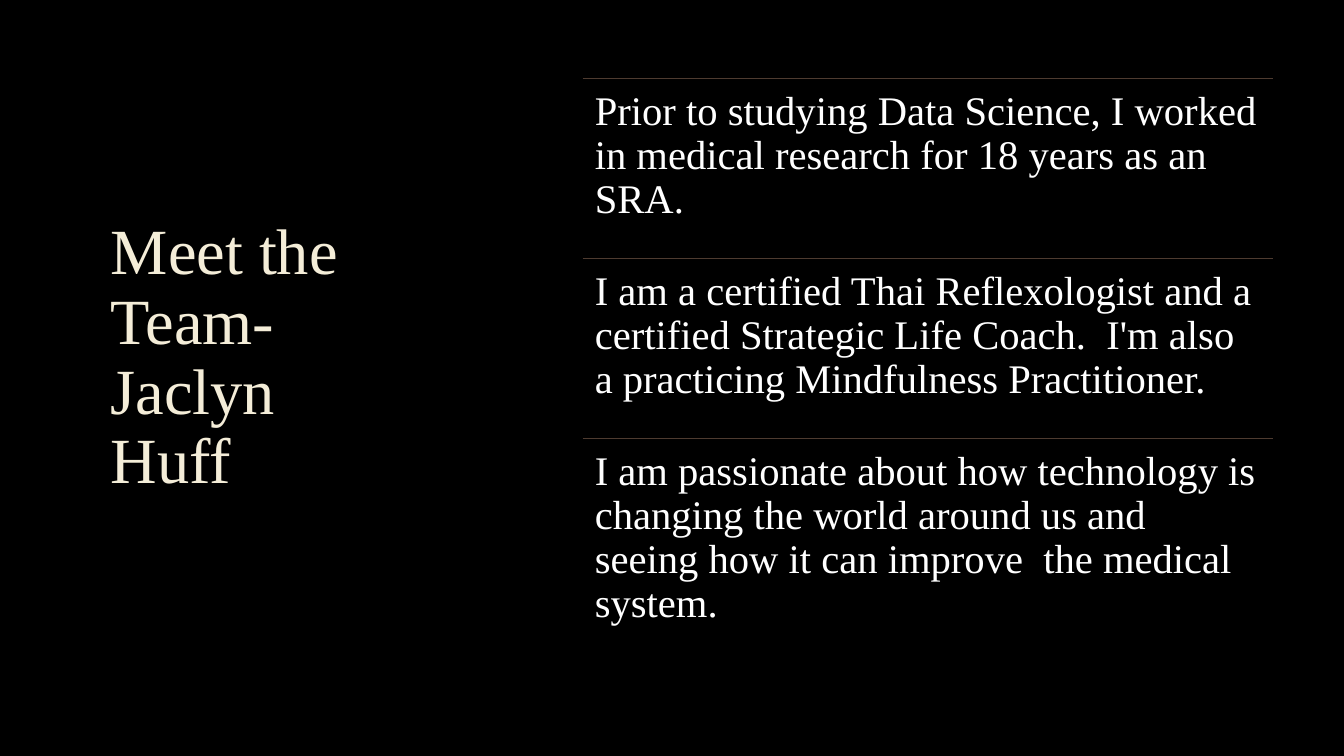
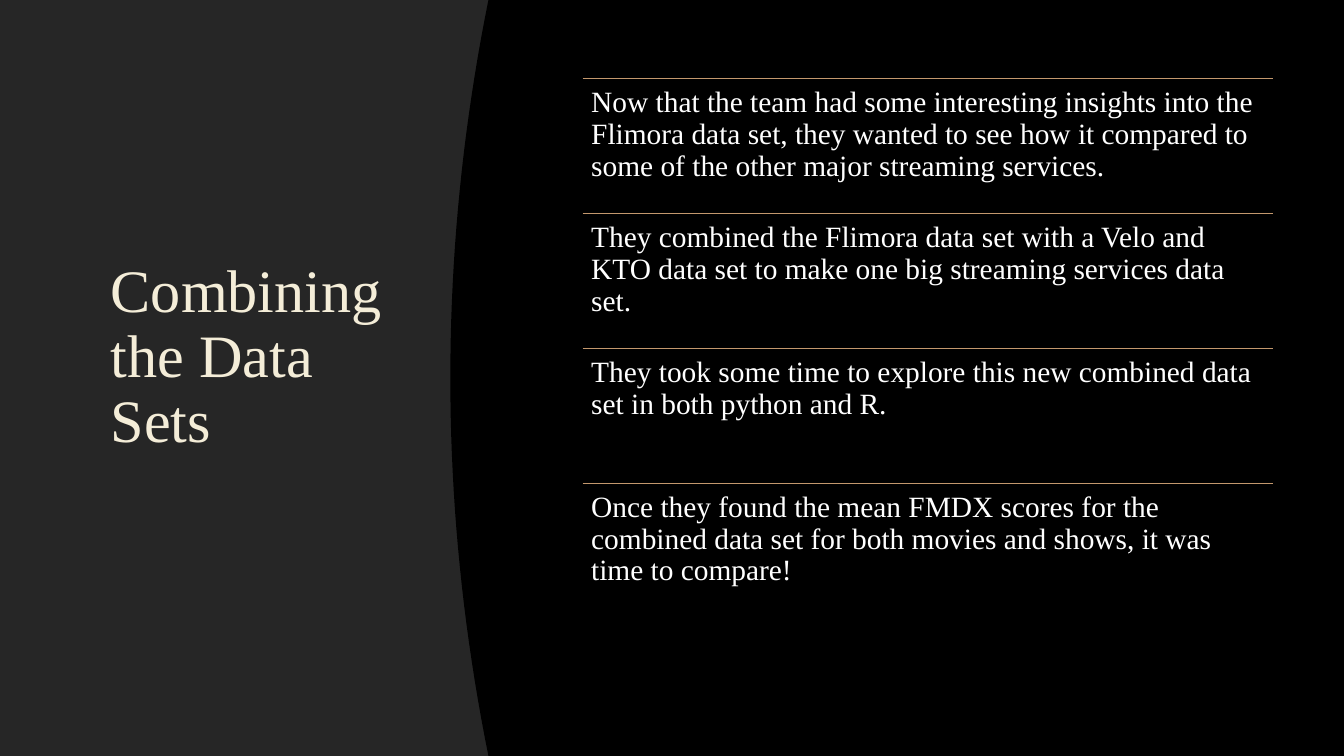
from dataclasses import dataclass

from lxml.etree import SubElement
from pptx import Presentation
from pptx.dml.color import RGBColor
from pptx.enum.shapes import MSO_CONNECTOR, MSO_SHAPE
from pptx.enum.text import MSO_ANCHOR, MSO_AUTO_SIZE, PP_ALIGN
from pptx.oxml.ns import qn
from pptx.util import Cm, Pt


@dataclass(frozen=True)
class Theme:
    font: str = "Times New Roman"
    black: RGBColor = RGBColor(0x00, 0x00, 0x00)
    panel: RGBColor = RGBColor(0x26, 0x26, 0x26)
    title: RGBColor = RGBColor(0xF4, 0xED, 0xD8)
    text: RGBColor = RGBColor(0xFF, 0xFF, 0xFF)
    brown: RGBColor = RGBColor(0x4E, 0x3B, 0x30)
    tan: RGBColor = RGBColor(0xC3, 0x98, 0x6D)
    team_title: int = 46
    team_text: int = 29
    data_title: int = 43
    data_text: int = 21
    rule: float = 0.75
    spacing: float = 0.9


T = Theme()
WIDTH, HEIGHT = 33.87, 19.05
LIST_LEFT, LIST_TOP, LIST_WIDTH, LIST_HEIGHT = 14.68, 1.98, 17.4, 13.6

TEAM_ITEMS = [
    "Prior to studying Data Science, I worked in medical research for 18 years as an SRA.",
    "I am a certified Thai Reflexologist and a certified Strategic Life Coach.  "
    "I'm also a practicing Mindfulness Practitioner.",
    "I am passionate about how technology is changing the world around us and seeing "
    "how it can improve  the medical system.",
]
DATA_ITEMS = [
    "Now that the team had some interesting insights into the Flimora data set, they "
    "wanted to see how it compared to some of the other major streaming services.",
    "They combined the Flimora data set with a Velo and KTO data set to make one big "
    "streaming services data set.",
    "They took some time to explore this new combined data set in both python and R.",
    "Once they found the mean FMDX scores for the combined data set for both movies "
    "and shows, it was time to compare!",
]


def write(tf, text, size, color):
    tf.word_wrap = True
    tf.auto_size = MSO_AUTO_SIZE.NONE
    p = tf.paragraphs[0]
    p.alignment = PP_ALIGN.LEFT
    p.line_spacing = T.spacing
    r = p.add_run()
    r.text = text
    r.font.name = T.font
    r.font.size = Pt(size)
    r.font.color.rgb = color
    return r


def add_title(s, text, size):
    title = s.shapes.title
    title.left, title.top, title.width, title.height = Cm(2.54), Cm(1.7), Cm(7.77), Cm(14.66)
    title.text_frame.vertical_anchor = MSO_ANCHOR.MIDDLE
    return write(title.text_frame, text, size, T.title)


def add_text_shadow(r):
    effects = SubElement(r.font.fill._xPr, qn("a:effectLst"))
    r.font.fill._xPr.find(qn("a:solidFill")).addnext(effects)
    shadow = SubElement(effects, qn("a:outerShdw"), blurRad="38100", dist="38100", dir="2700000")
    color = SubElement(shadow, qn("a:srgbClr"), val=str(T.black))
    SubElement(color, qn("a:alpha"), val="40000")


def add_rule(s, top, color):
    line = s.shapes.add_connector(
        MSO_CONNECTOR.STRAIGHT, Cm(LIST_LEFT), Cm(top), Cm(LIST_LEFT + LIST_WIDTH), Cm(top))
    line.line.color.rgb = color
    line.line.width = Pt(T.rule)
    SubElement(line.element.spPr, qn("a:effectLst"))


def add_ruled_list(s, items, size, inset, rule_color):
    """Share the list height equally, with a rule above each item."""
    row = LIST_HEIGHT / len(items)
    for i, item in enumerate(items):
        top = LIST_TOP + i * row
        add_rule(s, top, rule_color)
        box = s.shapes.add_textbox(Cm(LIST_LEFT), Cm(top), Cm(LIST_WIDTH), Cm(row))
        tf = box.text_frame
        tf.margin_left = tf.margin_right = tf.margin_top = tf.margin_bottom = Cm(inset)
        write(tf, item, size, T.text)


def paint(sp, color):
    sp.shadow.inherit = False
    sp.fill.solid()
    sp.fill.fore_color.rgb = color
    sp.line.fill.background()


def add_curved_panel(s):
    """Grey panel on the left, cut by a black area with a parabolic edge."""
    panel = s.shapes.add_shape(MSO_SHAPE.RECTANGLE, 0, 0, Cm(WIDTH), Cm(HEIGHT))
    paint(panel, T.panel)
    steps, left, bulge = 40, 11.35, 0.96
    edge = [(left + bulge * (2 * i / steps - 1) ** 2, HEIGHT * i / steps)
            for i in range(steps, -1, -1)]
    outline = s.shapes.build_freeform(Cm(WIDTH), 0)
    outline.add_line_segments([(Cm(x), Cm(y)) for x, y in [(WIDTH, HEIGHT)] + edge])
    area = outline.convert_to_shape()
    paint(area, T.black)
    panel.element.addnext(s.shapes.title.element)


def add_slide(prs):
    return prs.slides.add_slide(prs.slide_layouts.get_by_name("Title Only"))


def add_team_slide(prs):
    s = add_slide(prs)
    add_title(s, "Meet the Team-Jaclyn Huff", T.team_title)
    add_ruled_list(s, TEAM_ITEMS, T.team_text, 0.31, T.brown)


def add_data_slide(prs):
    s = add_slide(prs)
    add_curved_panel(s)
    add_text_shadow(add_title(s, "Combining the Data Sets", T.data_title))
    add_ruled_list(s, DATA_ITEMS, T.data_text, 0.22, T.tan)


def main():
    prs = Presentation()
    prs.slide_width, prs.slide_height = Cm(WIDTH), Cm(HEIGHT)
    fill = prs.slide_master.background.fill
    fill.solid()
    fill.fore_color.rgb = T.black
    add_team_slide(prs)
    add_data_slide(prs)
    prs.save("out.pptx")


if __name__ == "__main__":
    main()
